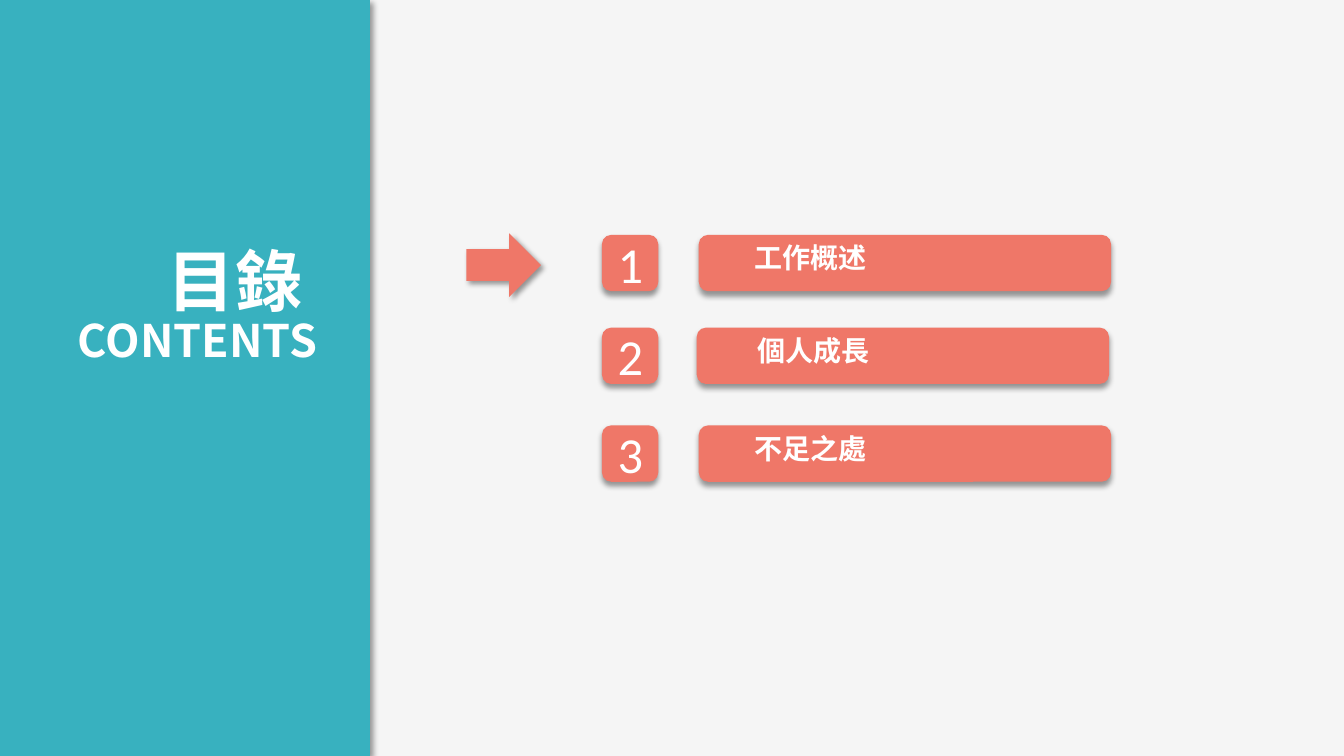
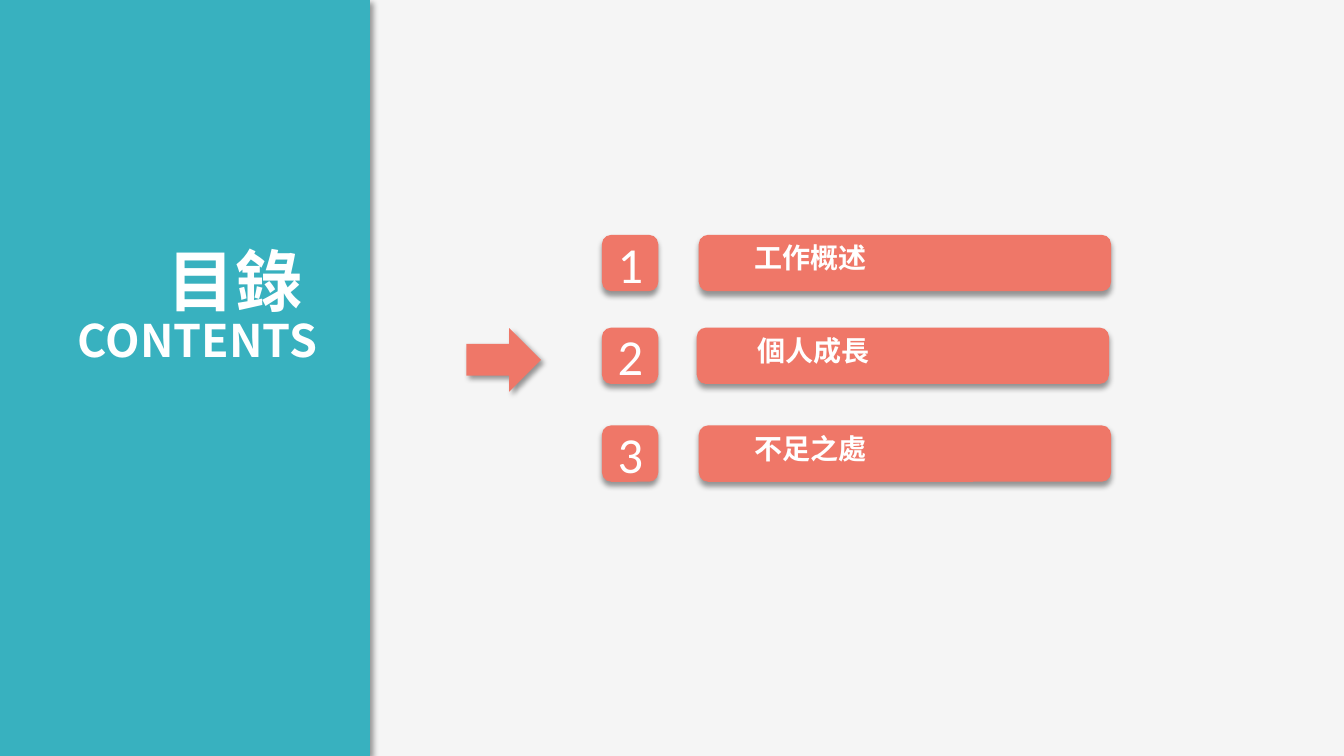
from lxml.etree import SubElement
from pptx import Presentation
from pptx.dml.color import RGBColor
from pptx.enum.shapes import MSO_SHAPE as Preset
from pptx.enum.text import MSO_ANCHOR as Anchor, PP_ALIGN as Align
from pptx.oxml.ns import qn
from pptx.util import Inches, Pt

TEAL, CORAL, WHITE, PALE, BLACK = "38B1BF", "EF7768", "FFFFFF", "F5F5F5", "000000"
HEADING_FONT, NUMBER_FONT = "Noto Sans CJK SC", "Calibri"
TITLE_LINES = [("目錄 ", 48), ("CONTENTS", 32)]
CHAPTERS = [
    {"name": "工作概述", "top": 2.33, "bar_left": 6.93, "label_left": 7.35},
    {"name": "個人成長", "top": 3.25, "bar_left": 6.91, "label_left": 7.38},
    {"name": "不足之處", "top": 4.22, "bar_left": 6.93, "label_left": 7.35},
]
ARROW_TOPS = [2.26, 3.2]
NUMBER_LEFT, TILE, BAR_WIDTH = 5.97, 0.56, 4.09
INSETS = {"margin_left": 0.13, "margin_top": 0.07, "margin_right": 0.13, "margin_bottom": 0.07}


def color(value):
    return RGBColor.from_string(value)


def place(box):
    return [Inches(value) for value in box]


def add_shadow(shape, angle):
    effects = SubElement(shape._element.spPr, qn("a:effectLst"))
    shadow = SubElement(effects, qn("a:outerShdw"), blurRad=str(Pt(4)), dist=str(Pt(3)),
                        dir=str(angle * 60000), algn="t", rotWithShape="0")
    tint = SubElement(shadow, qn("a:srgbClr"), val=BLACK)
    SubElement(tint, qn("a:alpha"), val="40000")


def add_block(shapes, preset, box, fill, angle):
    shape = shapes.add_shape(preset, *place(box))
    shape.fill.solid()
    shape.fill.fore_color.rgb = color(fill)
    shape.line.fill.background()
    add_shadow(shape, angle)
    return shape


def write(shape, lines, font_name, bold=False, align=Align.LEFT, anchor=Anchor.TOP, spacing=1.0):
    frame = shape.text_frame
    frame.word_wrap = True
    frame.vertical_anchor = anchor
    for name, value in INSETS.items():
        setattr(frame, name, Inches(value))
    paragraph = frame.paragraphs[0]
    paragraph.alignment = align
    paragraph.line_spacing = spacing
    for index, (text, size) in enumerate(lines):
        if index:
            paragraph.add_line_break()
        run = paragraph.add_run()
        run.text = text
        for name, value in {"name": font_name, "size": Pt(size), "bold": bold}.items():
            setattr(run.font, name, value)
        run.font.color.rgb = color(WHITE)
        SubElement(run.font._element, qn("a:ea"), typeface=font_name)


def add_heading(shapes, box, lines, align=Align.LEFT):
    textbox = shapes.add_textbox(*place(box))
    write(textbox, lines, HEADING_FONT, bold=True, align=align, spacing=0.85)


def add_chapter(slide, number, chapter):
    top = chapter["top"]
    tile = add_block(slide.shapes, Preset.ROUNDED_RECTANGLE, (NUMBER_LEFT, top, TILE, TILE), CORAL, 90)
    write(tile, [(str(number), 36)], NUMBER_FONT, align=Align.CENTER, anchor=Anchor.MIDDLE)
    group = slide.shapes.add_group_shape()
    add_block(group.shapes, Preset.ROUNDED_RECTANGLE,
              (chapter["bar_left"], top, BAR_WIDTH, TILE), CORAL, 90)
    add_heading(group.shapes, (chapter["label_left"], top + 0.04, 2.9, 0.47), [(chapter["name"], 20)])


def add_contents_slide(presentation, arrow_top):
    slide = presentation.slides.add_slide(presentation.slide_layouts[6])
    for number, chapter in enumerate(CHAPTERS, 1):
        add_chapter(slide, number, chapter)
    add_block(slide.shapes, Preset.RECTANGLE, (0, 0, 3.67, 7.5), TEAL, 45)
    add_heading(slide.shapes, (0.21, 2.43, 3.07, 1.48), TITLE_LINES, Align.RIGHT)
    arrow = add_block(slide.shapes, Preset.DOWN_ARROW, (4.68, arrow_top, 0.63, 0.74), CORAL, 45)
    arrow.rotation = 270


def main():
    presentation = Presentation()
    presentation.slide_width, presentation.slide_height = place((13.33, 7.5))
    background = presentation.slide_master.background.fill
    background.solid()
    background.fore_color.rgb = color(PALE)
    for arrow_top in ARROW_TOPS:
        add_contents_slide(presentation, arrow_top)
    presentation.save("out.pptx")


if __name__ == "__main__":
    main()
